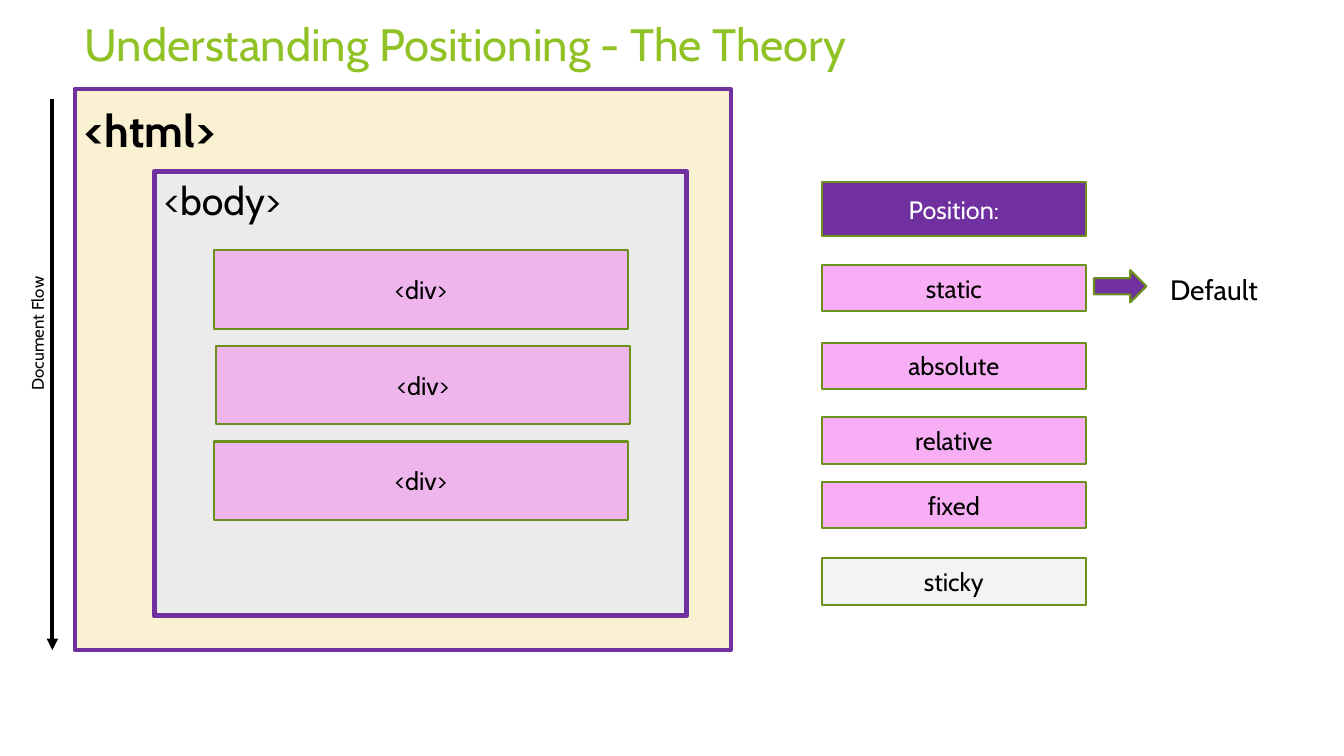
"""Build a slide that explains CSS positioning and document flow."""
from lxml import etree
from pptx import Presentation
from pptx.dml.color import RGBColor
from pptx.enum.shapes import MSO_CONNECTOR, MSO_SHAPE
from pptx.enum.text import MSO_ANCHOR, PP_ALIGN
from pptx.oxml.ns import qn
from pptx.util import Inches, Pt

RECTANGLE, RIGHT_ARROW = MSO_SHAPE.RECTANGLE, MSO_SHAPE.RIGHT_ARROW
STRAIGHT = MSO_CONNECTOR.STRAIGHT
TOP, MIDDLE = MSO_ANCHOR.TOP, MSO_ANCHOR.MIDDLE
LEFT, CENTER = PP_ALIGN.LEFT, PP_ALIGN.CENTER

FONT = "Cabin"
BLACK = RGBColor(0x00, 0x00, 0x00)
WHITE = RGBColor(0xFF, 0xFF, 0xFF)
LIME = RGBColor(0x90, 0xC2, 0x26)
OLIVE = RGBColor(0x6B, 0x90, 0x1C)
PURPLE = RGBColor(0x70, 0x30, 0xA0)
CREAM = RGBColor(0xFA, 0xF1, 0xD2)
GRAY = RGBColor(0xEB, 0xEB, 0xEB)
PINK = RGBColor(0xF4, 0x70, 0xEE)

DIVS = [(2.12, 2.48), (2.14, 3.43), (2.12, 4.38)]
POSITIONS = [
    ("static", 2.63, PINK),
    ("absolute", 3.4, PINK),
    ("relative", 4.14, PINK),
    ("fixed", 4.78, PINK),
    ("sticky", 5.54, GRAY),
]


def write(frame, text, size=18, color=BLACK, bold=False, align=CENTER, anchor=MIDDLE):
    """Write one formatted line into a text frame."""
    frame.vertical_anchor = anchor
    para = frame.paragraphs[0]
    para.alignment = align
    span = para.add_run()
    span.text = text
    font = span.font
    font.name, font.size, font.bold = FONT, Pt(size), bold
    font.color.rgb = color


def add_box(page, bounds, fill, kind=RECTANGLE, line=OLIVE, width=1.5, opacity=100):
    """Add a filled, outlined shape and return it."""
    box = page.shapes.add_shape(kind, *map(Inches, bounds))
    box.shadow.inherit = False
    box.fill.solid()
    box.fill.fore_color.rgb = fill
    box.line.color.rgb = line
    box.line.width = Pt(width)
    if opacity < 100:
        color = box.fill._xPr.find(qn("a:solidFill"))[0]
        etree.SubElement(color, qn("a:alpha"), val=str(opacity * 1000))
    return box


def add_label(page, bounds, text, rotation=0, wrap=False, **style):
    """Add a text box holding one line."""
    label = page.shapes.add_textbox(*map(Inches, bounds))
    label.rotation = rotation
    label.text_frame.word_wrap = wrap
    write(label.text_frame, text, **style)


def add_flow_arrow(page, x, top, bottom):
    """Add a downward line with a triangular head."""
    arrow = page.shapes.add_connector(STRAIGHT, *map(Inches, (x, top, x, bottom)))
    arrow.line.color.rgb = BLACK
    arrow.line.width = Pt(2.75)
    etree.SubElement(arrow.line._get_or_add_ln(), qn("a:tailEnd"), type="triangle")
    etree.SubElement(arrow._element.spPr, qn("a:effectLst"))


def add_document(page):
    """Add the nested html, body and div boxes."""
    html = add_box(page, (0.74, 0.88, 6.51, 5.57), CREAM, line=PURPLE, width=2.75)
    html.text_frame.margin_top = Inches(0.14)
    write(html.text_frame, "<html>", size=32, bold=True, align=LEFT, anchor=TOP)
    body = add_box(page, (1.53, 1.7, 5.28, 4.41), GRAY, line=PURPLE, width=3.75)
    write(body.text_frame, "<body>", size=28, align=LEFT, anchor=TOP)
    for left, top in DIVS:
        div = add_box(page, (left, top, 4.11, 0.78), PINK, opacity=43)
        write(div.text_frame, "<div>")


def add_positions(page):
    """Add the list of position values and mark the default."""
    header = add_box(page, (8.15, 1.81, 2.62, 0.53), PURPLE)
    write(header.text_frame, "Position:", color=WHITE)
    for name, top, fill in POSITIONS:
        value = add_box(page, (8.15, top, 2.62, 0.46), fill, opacity=56)
        write(value.text_frame, name)
    add_box(page, (10.85, 2.68, 0.52, 0.32), PURPLE, kind=RIGHT_ARROW)
    add_label(page, (11.48, 2.65, 1.12, 0.44), "Default", size=20)


def main():
    """Build and save the deck."""
    deck = Presentation()
    deck.slide_width, deck.slide_height = Inches(13.33), Inches(7.5)
    page = deck.slides.add_slide(deck.slide_layouts[6])
    add_label(page, (0.74, 0.1, 12.15, 0.66), "Understanding Positioning - The Theory",
              wrap=True, size=32.4, color=LIME, align=LEFT)
    add_document(page)
    add_flow_arrow(page, 0.52, 0.98, 6.45)
    add_label(page, (-0.31, 3.16, 1.36, 0.3), "Document Flow", rotation=270, size=12)
    add_positions(page)
    deck.save("out.pptx")


if __name__ == "__main__":
    main()
